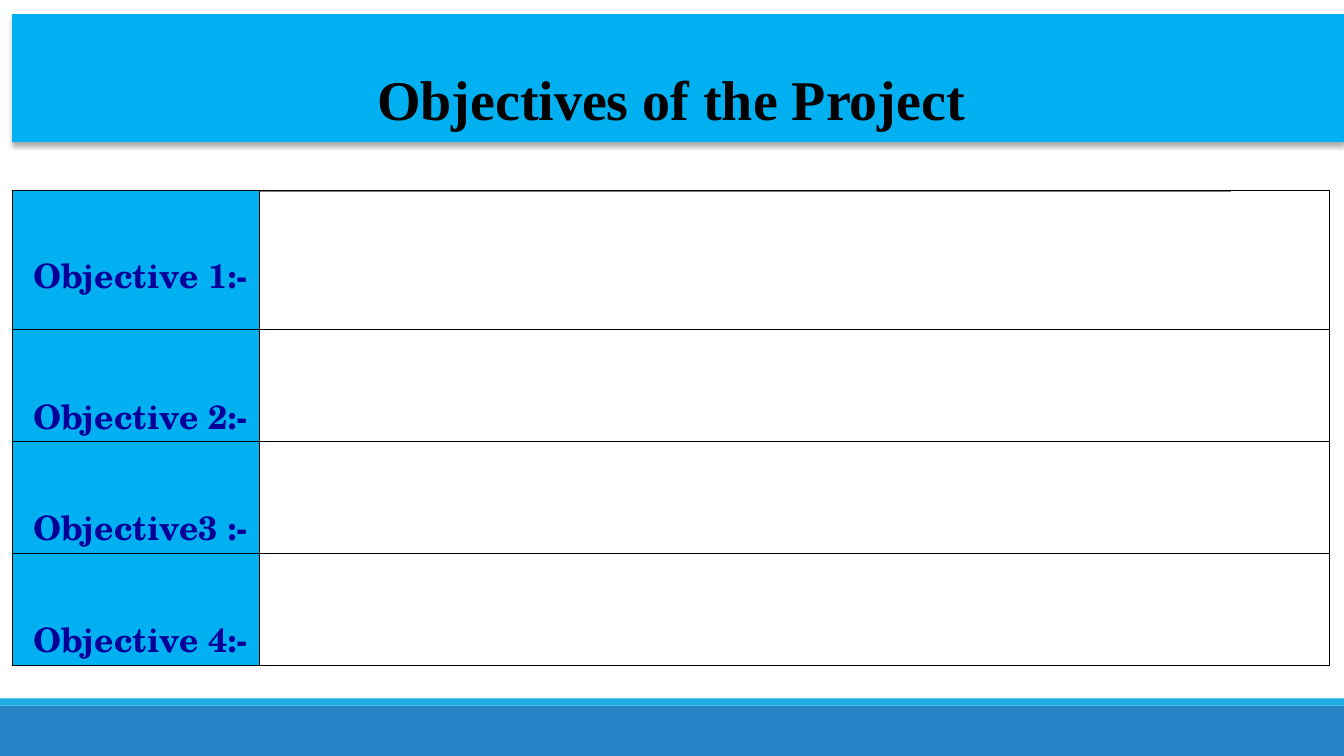
from lxml.etree import SubElement
from pptx import Presentation
from pptx.dml.color import RGBColor
from pptx.enum.shapes import MSO_CONNECTOR, MSO_SHAPE
from pptx.enum.text import MSO_ANCHOR, MSO_AUTO_SIZE, PP_ALIGN
from pptx.oxml import parse_xml
from pptx.oxml.ns import nsdecls, qn
from pptx.util import Inches, Pt

COLORS = {
    "banner": "00B0F0",
    "title": "000000",
    "label": "000099",
    "border": "000000",
    "rule": "808080",
    "footer": "2683C6",
    "footer_edge": "1CADE4",
}
OBJECTIVES = ["Objective 1:-", "Objective 2:-", "Objective3 :-", "Objective 4:-"]
COLUMN_WIDTHS = [2.45, 10.62]
ROW_HEIGHTS = [1.38, 1.11, 1.11, 1.11]
FIRST_ROW_BOTTOM_MARGIN = 0.28


def color(name):
    return RGBColor.from_string(COLORS[name])


def add_run(paragraph, text, font_name, size, color_name):
    run = paragraph.add_run()
    run.text = text
    run.font.name = font_name
    run.font.size = Pt(size)
    run.font.bold = True
    run.font.color.rgb = color(color_name)


def add_bar(slide, left, top, width, height, color_name):
    bar = slide.shapes.add_shape(
        MSO_SHAPE.RECTANGLE, Inches(left), Inches(top), Inches(width), Inches(height))
    bar.shadow.inherit = False
    bar.fill.solid()
    bar.fill.fore_color.rgb = color(color_name)
    bar.line.fill.background()


def add_footer(slide, left, top, width, height):
    edge_height = 0.07
    add_bar(slide, left, top + edge_height, width, height - edge_height, "footer")
    add_bar(slide, left, top, width, edge_height, "footer_edge")


def add_rule(slide, left, top, width):
    rule = slide.shapes.add_connector(
        MSO_CONNECTOR.STRAIGHT, Inches(left), Inches(top), Inches(left + width), Inches(top))
    rule.line.color.rgb = color("rule")
    rule.line.width = Pt(0.5)
    SubElement(rule._element.spPr, qn("a:effectLst"))


def fill_title(slide, left, top, width, height):
    title = slide.shapes.title
    title.left, title.top = Inches(left), Inches(top)
    title.width, title.height = Inches(width), Inches(height)
    title.fill.solid()
    title.fill.fore_color.rgb = color("banner")
    title._element.spPr.append(parse_xml(
        f'<a:effectLst {nsdecls("a")}>'
        f'<a:outerShdw blurRad="{Pt(3.5)}" dist="{Pt(2.2)}" dir="5400000" rotWithShape="0">'
        '<a:srgbClr val="000000"><a:alpha val="31000"/></a:srgbClr>'
        '</a:outerShdw></a:effectLst>'))
    frame = title.text_frame
    frame.auto_size = MSO_AUTO_SIZE.NONE
    frame.word_wrap = True
    frame.vertical_anchor = MSO_ANCHOR.BOTTOM
    frame.margin_left = frame.margin_right = frame.margin_bottom = Inches(0.1)
    frame.margin_top = Inches(0.05)
    paragraph = frame.paragraphs[0]
    paragraph.alignment = PP_ALIGN.CENTER
    add_run(paragraph, "Objectives of the Project ", "Times New Roman", 40, "title")


def set_borders(cell):
    properties = cell._tc.get_or_add_tcPr()
    for side in ("lnL", "lnR", "lnT", "lnB"):
        border = SubElement(properties, qn(f"a:{side}"), w=str(Pt(1)))
        fill = SubElement(border, qn("a:solidFill"))
        SubElement(fill, qn("a:srgbClr"), val=COLORS["border"])


def fill_label(cell, text, bottom_margin):
    cell.fill.solid()
    cell.fill.fore_color.rgb = color("banner")
    cell.vertical_anchor = MSO_ANCHOR.BOTTOM
    cell.margin_left = cell.margin_right = Inches(0.07)
    cell.margin_top = 0
    cell.margin_bottom = Inches(bottom_margin)
    paragraph = cell.text_frame.paragraphs[0]
    paragraph.alignment = PP_ALIGN.CENTER
    paragraph.line_spacing = 1.15
    indents = paragraph._p.get_or_add_pPr()
    indents.set("marL", str(Inches(0.3)))
    indents.set("indent", str(Inches(-0.2)))
    add_run(paragraph, text, "TeX Gyre Schola", 24, "label")


def add_objectives_table(slide, left, top):
    table = slide.shapes.add_table(
        len(OBJECTIVES), len(COLUMN_WIDTHS), Inches(left), Inches(top),
        Inches(sum(COLUMN_WIDTHS)), Inches(sum(ROW_HEIGHTS))).table
    table.first_row = table.horz_banding = False
    for column, width in zip(table.columns, COLUMN_WIDTHS):
        column.width = Inches(width)
    for index, (row, height) in enumerate(zip(table.rows, ROW_HEIGHTS)):
        row.height = Inches(height)
        label, content = row.cells
        set_borders(label)
        set_borders(content)
        fill_label(label, OBJECTIVES[index], 0 if index else FIRST_ROW_BOTTOM_MARGIN)
        content.fill.background()


def main():
    presentation = Presentation()
    presentation.slide_width = Inches(13.33)
    presentation.slide_height = Inches(7.5)
    slide = presentation.slides.add_slide(presentation.slide_layouts[5])
    add_footer(slide, 0, 6.93, 13.33, 0.57)
    add_rule(slide, 1.31, 1.9, 10.9)
    add_objectives_table(slide, 0.12, 1.89)
    fill_title(slide, 0.12, 0.14, 13.21, 1.27)
    presentation.save("out.pptx")


if __name__ == "__main__":
    main()
